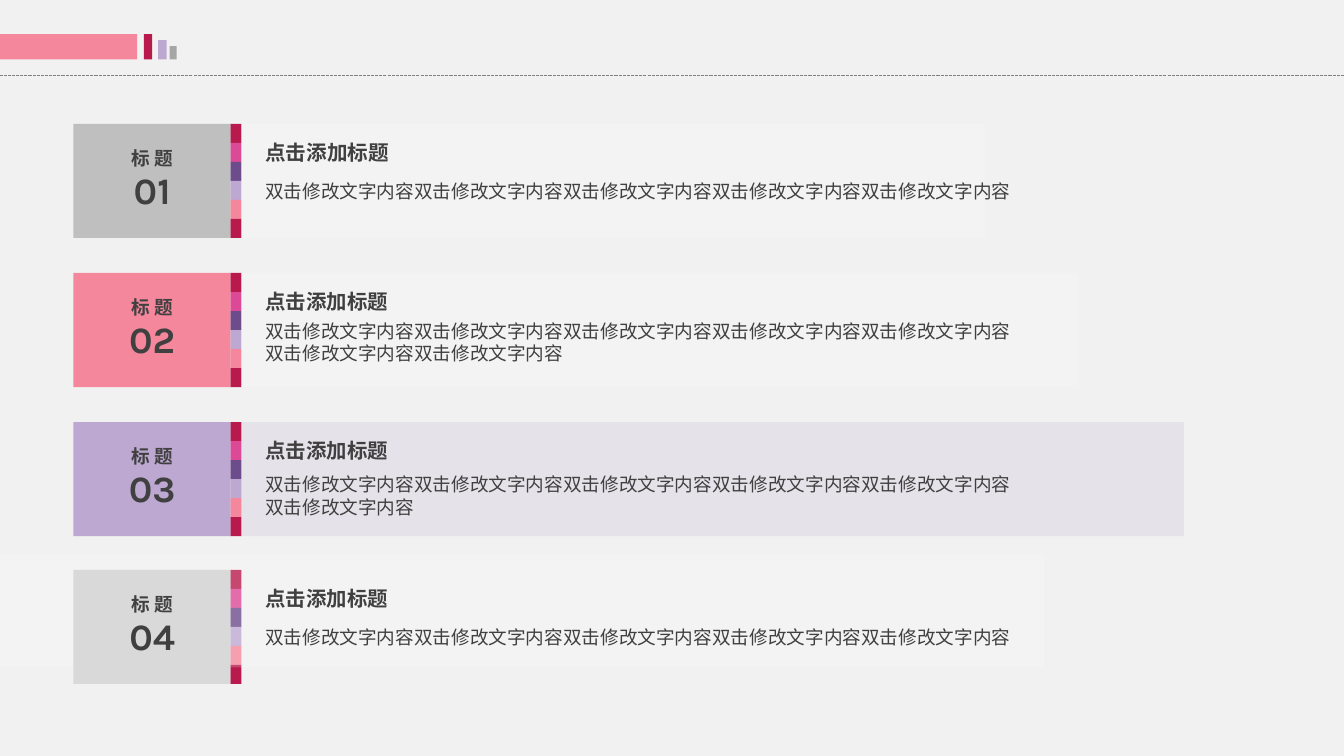
from lxml.etree import SubElement
from pptx import Presentation
from pptx.dml.color import RGBColor
from pptx.enum.dml import MSO_LINE
from pptx.enum.shapes import MSO_CONNECTOR, MSO_SHAPE
from pptx.enum.text import MSO_ANCHOR, PP_ALIGN
from pptx.oxml.ns import qn
from pptx.util import Pt


def block(x, y, w, h, color, alpha=None):
    shape = deck.add_shape(MSO_SHAPE.RECTANGLE, Pt(x), Pt(y), Pt(w), Pt(h))
    shape.shadow.inherit = False
    shape.fill.solid()
    shape.fill.fore_color.rgb = RGBColor.from_string(color)
    shape.line.fill.background()
    if alpha:
        tint = shape.fill._xPr.find(".//" + qn("a:srgbClr"))
        SubElement(tint, qn("a:alpha"), val=str(alpha * 1000))


def write(x, y, w, h, text, size, face, bold=True, align=PP_ALIGN.LEFT, anchor=MSO_ANCHOR.TOP):
    frame = deck.add_textbox(Pt(x), Pt(y), Pt(w), Pt(h)).text_frame
    frame.word_wrap = True
    frame.vertical_anchor = anchor
    frame.margin_left = frame.margin_right = frame.margin_top = frame.margin_bottom = 0
    para = frame.paragraphs[0]
    para.alignment = align
    run = para.add_run()
    run.text = text
    run.font.size = Pt(size)
    run.font.bold = bold
    run.font.color.rgb = RGBColor.from_string("404040")
    run.font.name = face
    SubElement(run.font._element, qn("a:ea"), typeface=face)


RED, PINK, LILAC, WHITE = "B81A4D", "F4879C", "BDA8D1", "FFFFFF"
STRIP = [RED, "DC4997", "6C4C8B", LILAC, PINK, RED]
SANS, KARLA = "Noto Sans CJK SC", "Karla"
HIGH = 81.5
CELL = HIGH / len(STRIP)

show = Presentation()
show.slide_width, show.slide_height = Pt(960), Pt(540)
slide = show.slides.add_slide(show.slide_layouts[6])
slide.background.fill.solid()
slide.background.fill.fore_color.rgb = RGBColor.from_string("F1F1F1")
deck = slide.shapes

rule = deck.add_connector(MSO_CONNECTOR.STRAIGHT, Pt(960), Pt(54), Pt(0), Pt(54))
rule.line.color.rgb = RGBColor.from_string("808080")
rule.line.width = Pt(0.75)
rule.line.dash_style = MSO_LINE.SQUARE_DOT
SubElement(rule._element.spPr, qn("a:effectLst"))

BASE = 42.4
for x, w, h, color in [
    (0, 98, 18, PINK),
    (102.8, 5.8, 18, RED),
    (113, 6, 13.7, LILAC),
    (121.2, 5, 9.4, "A6A6A6"),
]:
    block(x, BASE - h, w, h, color)

rows = [
    (88.5, "BFBFBF", (172.2, 88.5, 531.4), WHITE, 136.4, 5, 14.7),
    (195, PINK, (172.2, 195, 598.3), WHITE, 244.4, 7, 14.6),
    (301.5, LILAC, (172.2, 301.5, 673.4), LILAC, 353.9, 6, 14.6),
    (407, "D9D9D9", (0, 395.3, 746), WHITE, 455, 5, 14.6),
]
for num, (top, color, panel, tint, mid, count, size) in enumerate(rows, 1):
    for step, hue in enumerate(STRIP):
        block(164.6, top + step * CELL, 7.8, CELL, hue)
    x, y, w = panel
    block(x, y, w, HIGH, tint, 20)
    block(52.4, top, 112.2, HIGH, color)
    tall = 16.2 if count == 5 else 32.4
    write(189.4, mid - tall / 2, 536.4, tall, "双击修改文字内容" * count, 13.3, SANS,
          bold=False, anchor=MSO_ANCHOR.MIDDLE)
    write(189.4, top + 11.4, 393, 18, "点击添加标题", size, SANS)
    write(69.8, top + 31, 77.8, 32.4, f"{num:02}", 26.6, KARLA, align=PP_ALIGN.CENTER)
    write(69.8, top + 16.2, 77.8, 16.6, "标 题", 13.3, KARLA, align=PP_ALIGN.CENTER)

show.save("out.pptx")
